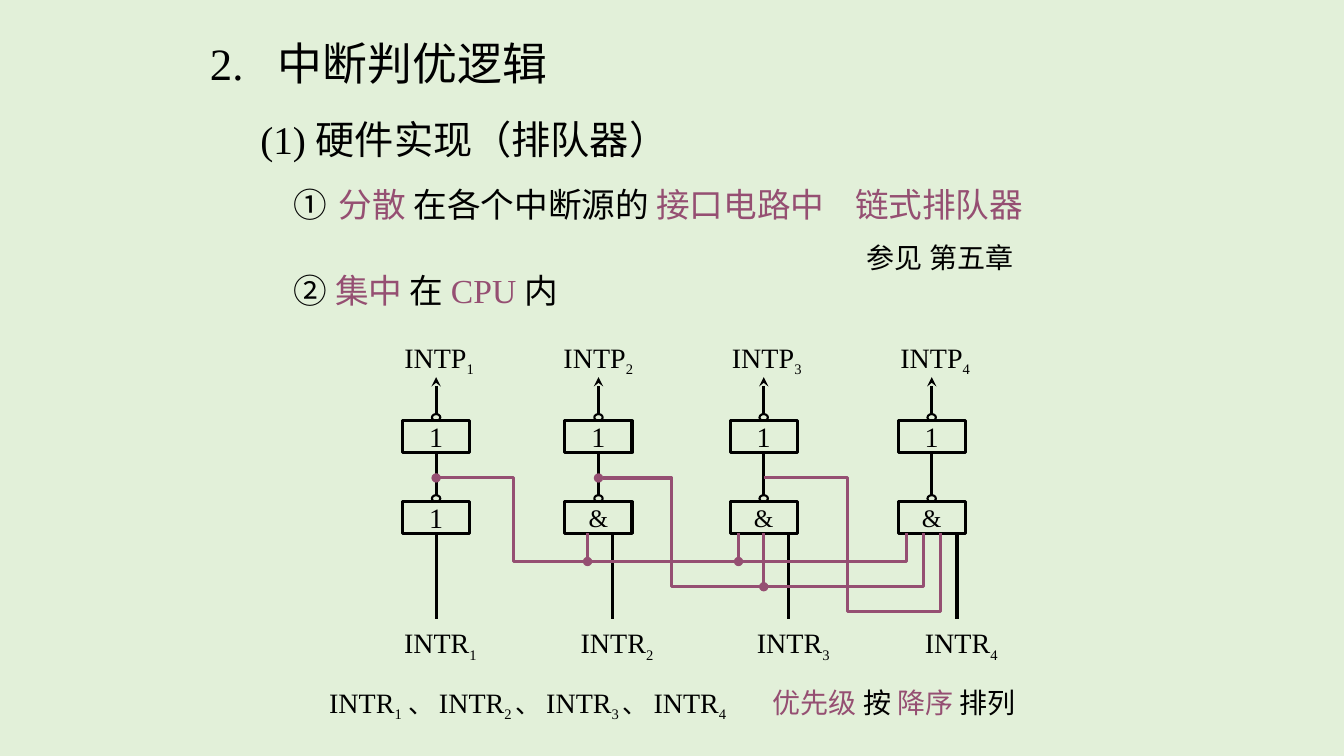
from lxml import etree
from pptx import Presentation
from pptx.dml.color import RGBColor
from pptx.enum.shapes import MSO_CONNECTOR, MSO_SHAPE
from pptx.enum.text import MSO_ANCHOR, PP_ALIGN
from pptx.oxml.ns import qn
from pptx.util import Inches, Pt

STRAIGHT = MSO_CONNECTOR.STRAIGHT
RECTANGLE, OVAL = MSO_SHAPE.RECTANGLE, MSO_SHAPE.OVAL
TOP, MIDDLE = MSO_ANCHOR.TOP, MSO_ANCHOR.MIDDLE
CENTER = PP_ALIGN.CENTER
TOP_SITE, BOTTOM_SITE = 0, 2

COLORS = {"ground": "E2F0D9", "ink": "000000", "accent": "954F72"}
FONT = "Times New Roman"
COLUMNS, ROWS = 160, 90
GATE_WIDTH, GATE_HEIGHT = 8, 3.75
BUBBLE_WIDTH, BUBBLE_HEIGHT = 1, 0.8


class CircuitPage:
    def __init__(self, deck):
        self.unit_x = deck.slide_width / COLUMNS
        self.unit_y = deck.slide_height / ROWS
        self.page = deck.slides.add_slide(deck.slide_layouts[6])
        fill = self.page.background.fill
        fill.solid()
        fill.fore_color.rgb = self.color("ground")

    def color(self, name):
        return RGBColor.from_string(COLORS[name])

    def point(self, column, row):
        return round(column * self.unit_x), round(row * self.unit_y)

    def frame(self, column, row, width, height):
        return *self.point(column, row), *self.point(width, height)

    def format_span(self, span, size, color="ink", subscript=False):
        span.font.name = FONT
        span.font.size = Pt(size)
        span.font.color.rgb = self.color(color)
        if subscript:
            span.font._element.set("baseline", "-25000")

    def text(self, column, row, width, height, spans, tab=None, heading=False):
        box = self.page.shapes.add_textbox(*self.frame(column, row, width, height))
        frame = box.text_frame
        frame.word_wrap = True
        frame.vertical_anchor = MIDDLE if heading else TOP
        if heading:
            frame.margin_left = frame.margin_right = 0
        para = frame.paragraphs[0]
        if tab:
            stops = etree.SubElement(para._p.get_or_add_pPr(), qn("a:tabLst"))
            etree.SubElement(stops, qn("a:tab"), pos=str(round(tab * self.unit_x)), algn="l")
        for content, *style in spans:
            span = para.add_run()
            span.text = content
            self.format_span(span, *style)

    def heading(self, column, row, width, spans, tab=None):
        self.text(column, row, width, 7, spans, tab, heading=True)

    def signal(self, column, row, width, name, number):
        self.text(column, row, width, 5.2, [(name, 20), (number, 18, "ink", True)])

    def outline(self, kind, column, row, width, height, weight):
        shape = self.page.shapes.add_shape(kind, *self.frame(column, row, width, height))
        shape.shadow.inherit = False
        shape.fill.background()
        self.stroke(shape.line, "ink", weight)
        return shape

    def gate(self, center, row, symbol):
        box = self.outline(RECTANGLE, center - GATE_WIDTH / 2, row, GATE_WIDTH, GATE_HEIGHT, 2.25)
        frame = box.text_frame
        frame.margin_left = frame.margin_right = frame.margin_top = frame.margin_bottom = 0
        frame.vertical_anchor = MIDDLE
        frame.text = symbol
        para = frame.paragraphs[0]
        para.alignment = CENTER
        self.format_span(para.runs[0], 18 if symbol == "&" else 20)
        bubble = self.outline(OVAL, center - BUBBLE_WIDTH / 2, row - BUBBLE_HEIGHT,
                              BUBBLE_WIDTH, BUBBLE_HEIGHT, 1.5)
        return box, bubble

    def stroke(self, line, color, weight=2.25, head=None, tail=None):
        line.color.rgb = self.color(color)
        line.width = Pt(weight)
        for tag, kind in (("a:headEnd", head), ("a:tailEnd", tail)):
            if kind:
                etree.SubElement(line._get_or_add_ln(), qn(tag), type=kind)

    def wire(self, start, end, color="ink", tail=None, begin=None, finish=None):
        wire = self.page.shapes.add_connector(STRAIGHT, *self.point(*start), *self.point(*end))
        if begin:
            wire.begin_connect(*begin)
        if finish:
            wire.end_connect(*finish)
        self.stroke(wire.line, color, tail=tail)
        etree.SubElement(wire._element.spPr, qn("a:effectLst"))

    def bus(self, points, head):
        corners = [self.point(*point) for point in points]
        builder = self.page.shapes.build_freeform(*corners[0], scale=1.0)
        builder.add_line_segments(corners[1:], close=False)
        path_shape = builder.convert_to_shape()
        path_shape.shadow.inherit = False
        path_shape.fill.background()
        self.stroke(path_shape.line, "accent", head=head)


def main():
    deck = Presentation()
    deck.slide_width, deck.slide_height = Inches(13.33), Inches(7.5)
    page = CircuitPage(deck)

    page.heading(25, 4, 51, [("2.\t中断判优逻辑", 32)], tab=8.1)
    page.heading(31, 13, 69, [("(1) 硬件实现（排队器）", 28)])
    page.heading(35, 20, 99, [
        ("①", 24), (" ", 36), ("分散 ", 24, "accent"), ("在各个中断源的 ", 24),
        ("接口电路中\t链式排队器", 24, "accent")], tab=66.8)
    page.heading(35, 31, 69, [
        ("② ", 24), ("集中 ", 24, "accent"), ("在 ", 24), ("CPU ", 24, "accent"), ("内", 24)])
    page.text(102, 28, 31, 5.2, [("参见 第五章", 20)])

    upper_row, lower_row = 50.1, 59.75
    lower_bottom = lower_row + GATE_HEIGHT
    stages = [(51.92, 0, 46.95, "1"), (71.25, 1.7, 65.9, "&"),
              (90.92, 3, 85.95, "&"), (110.92, 3, 106, "&")]
    lower_gates = []
    for number, (center, offset, label_column, symbol) in enumerate(stages, 1):
        upper, upper_bubble = page.gate(center, upper_row, "1")
        lower, lower_bubble = page.gate(center, lower_row, symbol)
        lower_gates.append(lower)
        page.wire((center, upper_row + GATE_HEIGHT), (center, lower_row - BUBBLE_HEIGHT),
                  begin=(upper, BOTTOM_SITE), finish=(lower_bubble, TOP_SITE))
        page.wire((center, upper_row - BUBBLE_HEIGHT), (center, 44.9), tail="stealth",
                  begin=(upper_bubble, TOP_SITE))
        request = center + offset
        page.wire((request, lower_bottom), (request, 73.7),
                  begin=None if offset else (lower, BOTTOM_SITE))
        page.signal(label_column, 39.9, 14, "INTP", str(number))
        page.signal(request - 5, 73.9, 20, "INTR", str(number))

    centers = [stage[0] for stage in stages]
    bus_rows = [66.85, 69.85, 72.85]
    turns = [61.1, 79.95, 100.95]
    inputs = [centers[3] + shift for shift in (-3, -1, 1)]
    for center, turn, row, target, head in zip(centers, turns, bus_rows, inputs,
                                               ("oval", "oval", None)):
        page.bus([(center, 56.9), (turn, 56.9), (turn, row), (target, row),
                  (target, lower_bottom)], head)
    for stage, shift, bus in ((1, -1.3, 0), (2, -3, 0), (2, 0, 1)):
        column = centers[stage] + shift
        page.wire((column, lower_bottom), (column, bus_rows[bus]), "accent", "oval",
                  begin=None if shift else (lower_gates[stage], BOTTOM_SITE))

    priority = [("INTR", 20), ("1", 18, "ink", True), (" 、 ", 18)]
    for number in ("2 ", "3 "):
        priority += [("INTR", 20), (number, 18, "ink", True), ("、 ", 18)]
    priority += [("INTR", 20), ("4", 18, "ink", True), ("\t", 20), ("优先级 ", 20, "accent"),
                 ("按 ", 20), ("降序 ", 20, "accent"), ("排列", 20)]
    page.text(38, 81, 93, 5.2, priority, tab=52.8)

    deck.save("out.pptx")


if __name__ == "__main__":
    main()
